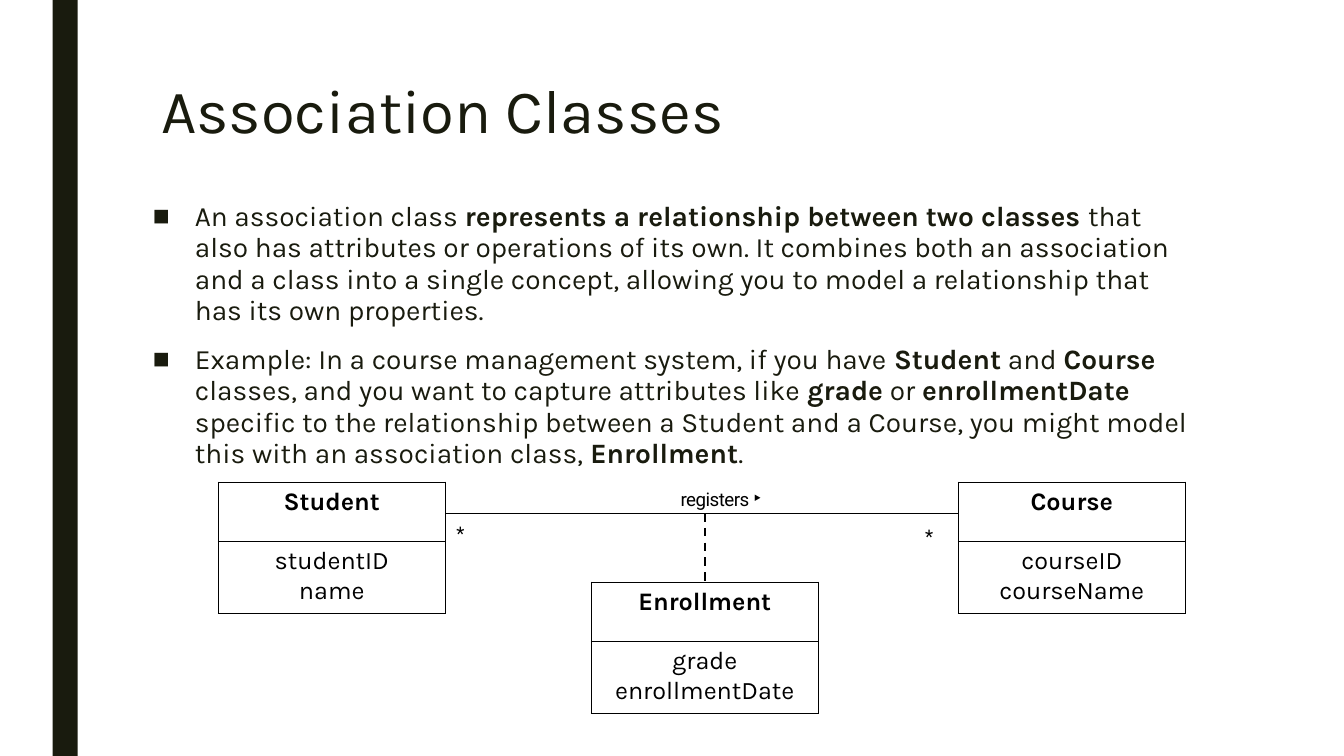
from lxml import etree
from pptx import Presentation
from pptx.dml.color import RGBColor
from pptx.enum.dml import MSO_LINE
from pptx.enum.shapes import MSO_CONNECTOR, MSO_SHAPE
from pptx.enum.text import MSO_ANCHOR, MSO_AUTO_SIZE, PP_ALIGN
from pptx.oxml.ns import qn
from pptx.util import Inches, Pt

LEFT, MID, TOP = PP_ALIGN.LEFT, PP_ALIGN.CENTER, MSO_ANCHOR.TOP
NONE, DASH = MSO_AUTO_SIZE.NONE, MSO_LINE.DASH
RECT, LINE = MSO_SHAPE.RECTANGLE, MSO_CONNECTOR.STRAIGHT

THEME = {
    "dark": RGBColor.from_string("191B0E"),
    "black": RGBColor.from_string("000000"),
    "white": RGBColor.from_string("FFFFFF"),
    "title": {"name": "Karla", "size": Pt(44), "bold": False},
    "body": {"name": "Karla", "size": Pt(20)},
    "cell": {"name": "Karla", "size": Pt(18)},
    "label": {"name": "Roboto", "size": Pt(13.4)},
    "arrow": {"name": "Cabin", "size": Pt(15.8)},
}

deck = Presentation()
deck.slide_width, deck.slide_height = Inches(13.33), Inches(7.5)
COL, ROW = deck.slide_width / 160, deck.slide_height / 90
slide = deck.slides.add_slide(deck.slide_layouts[1])
shapes = slide.shapes


def grid(x, y, wide, high):
    return int(x * COL), int(y * ROW), int(wide * COL), int(high * ROW)


def write(para, text, style, ink, form, **extra):
    for key, value in form.items():
        setattr(para, key, value)
    run = para.add_run()
    run.text = text
    for key, value in {**THEME[style], **extra}.items():
        setattr(run.font, key, value)
    run.font.color.rgb = THEME[ink]
    return run


bar = shapes.add_shape(RECT, *grid(6.25, 0, 3, 90))
bar.shadow.inherit = False
bar.fill.solid()
bar.fill.fore_color.rgb = THEME["dark"]
bar.line.fill.background()

title, body = shapes.title, slide.placeholders[1]
for holder, area in ((title, (18, 9, 126, 19.4)), (body, (17, 23.3, 126, 47))):
    holder.left, holder.top, holder.width, holder.height = grid(*area)
    frame = {"word_wrap": True, "auto_size": NONE, "vertical_anchor": TOP}
    for key, value in frame.items():
        setattr(holder.text_frame, key, value)

write(title.text_frame.paragraphs[0], "Association Classes", "title", "dark",
      {"alignment": LEFT, "line_spacing": 0.89})

POINTS = [
    ["An association class ", "represents a relationship between two classes ",
     "that also has attributes or operations of its own. It combines both an "
     "association and a class into a single concept, allowing you to model a "
     "relationship that has its own properties."],
    ["Example: In a course management system, if you have ", "Student", " and ",
     "Course", " classes, and you want to capture attributes like ", "grade",
     " or ", "enrollmentDate",
     " specific to the relationship between a Student and a Course, you might "
     "model this with an association class, ", "Enrollment", "."],
]
LIST = {"alignment": LEFT, "line_spacing": 0.94,
        "space_before": Pt(10), "space_after": Pt(2)}
for row, point in enumerate(POINTS):
    para = body.text_frame.add_paragraph() if row else body.text_frame.paragraphs[0]
    for part, text in enumerate(point):
        write(para, text, "body", "dark", LIST, bold=part % 2 == 1)
    props = para._p.get_or_add_pPr()
    props.set("marL", str(int(5 * COL)))
    props.set("indent", str(-int(5 * COL)))
    etree.SubElement(props, qn("a:buFont"), typeface="Arial")
    etree.SubElement(props, qn("a:buChar"), char="■")

CLASSES = [
    (26, 57.4, "Student", ["studentID", "name"]),
    (114.1, 57.4, "Course", ["courseID", "courseName"]),
    (70.4, 69.3, "Enrollment", ["grade", "enrollmentDate"]),
]
HEIGHTS = 7.1, 8.5
for x, y, name, fields in CLASSES:
    table = shapes.add_table(2, 1, *grid(x, y, 27, sum(HEIGHTS))).table
    table.first_row = table.horz_banding = False
    for row, lines in enumerate(([name], fields)):
        table.rows[row].height = int(HEIGHTS[row] * ROW)
        cell = table.cell(row, 0)
        for num, text in enumerate(lines):
            para = (cell.text_frame.add_paragraph() if num
                    else cell.text_frame.paragraphs[0])
            write(para, text, "cell", "black", {"alignment": MID}, bold=row == 0)
        cell.fill.solid()
        cell.fill.fore_color.rgb = THEME["white"]
        props = cell._tc.get_or_add_tcPr()
        for spot, side in enumerate(("lnL", "lnR", "lnT", "lnB")):
            edge = etree.Element(qn("a:" + side), w=str(Pt(1)))
            fill = etree.SubElement(edge, qn("a:solidFill"))
            etree.SubElement(fill, qn("a:srgbClr"), val=str(THEME["black"]))
            props.insert(spot, edge)

LINKS = [
    ((53, 61.1, 114.1, 61.1), {"width": Pt(0.5)}),
    ((83.9, 61.1, 83.9, 69.3), {"width": Pt(1.5), "dash_style": DASH}),
]
for ends, form in LINKS:
    link = shapes.add_connector(LINE, *grid(*ends))
    link.line.color.rgb = THEME["black"]
    for key, value in form.items():
        setattr(link.line, key, value)
    etree.SubElement(link._element.spPr, qn("a:effectLst"))

LABELS = [
    ((54.2, 62, 3.7, 2.8), 0.7, [("*", "label", -50)]),
    ((110, 62.3, 3.7, 2.8), 0.7, [("*", "label", -50)]),
    ((80.9, 57.5, 12, 3.4), 0.9,
     [("registers ", "label", -40), ("‣", "arrow", 200)]),
]
INSET = {"margin_left": 0, "margin_right": 0, "margin_bottom": 0,
         "margin_top": Inches(0.01), "word_wrap": True}
for area, gap, parts in LABELS:
    frame = shapes.add_textbox(*grid(*area)).text_frame
    for key, value in INSET.items():
        setattr(frame, key, value)
    para = frame.paragraphs[0]
    for text, style, space in parts:
        run = write(para, text, style, "black", {"space_before": Pt(gap)})
        run._r.get_or_add_rPr().set("spc", str(space))
    para._p.get_or_add_pPr().set("marL", str(Inches(0.01)))

deck.save("out.pptx")
